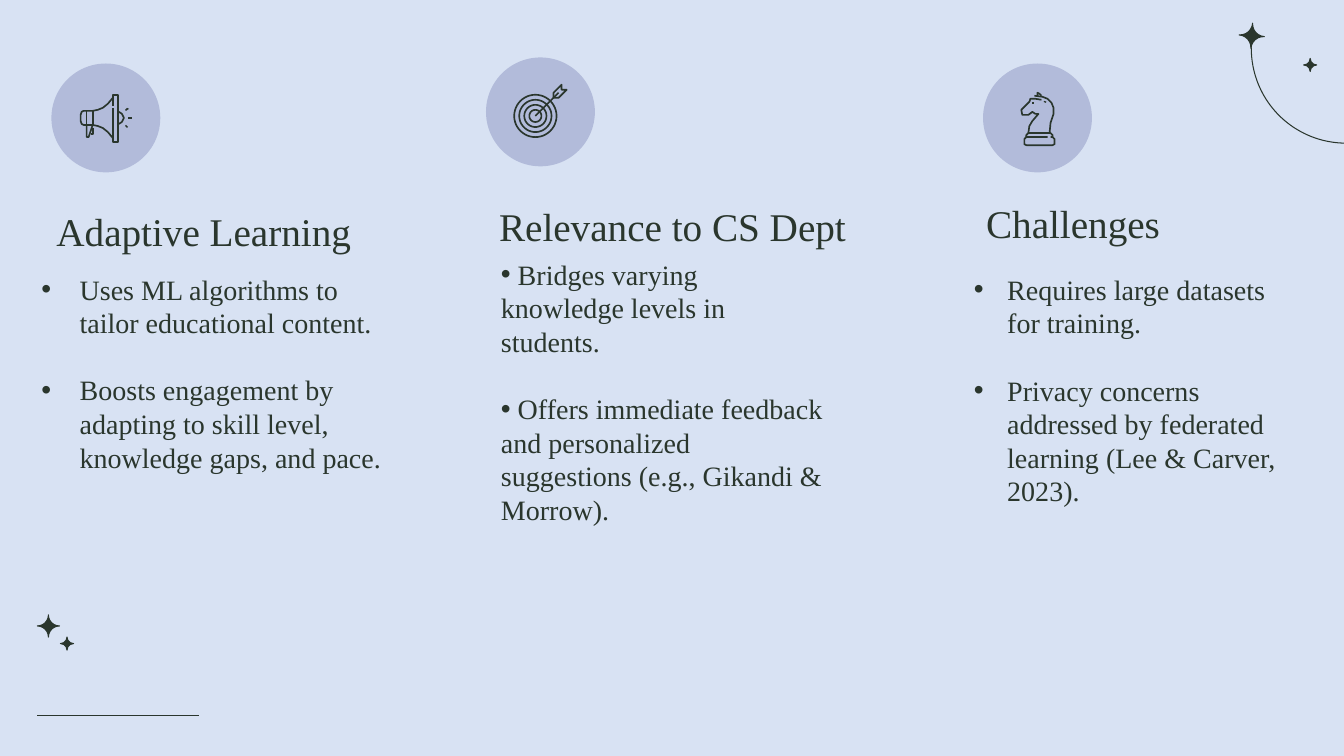
import math
from lxml import etree
from pptx import Presentation
from pptx import util as u
from pptx.dml.color import RGBColor
from pptx.enum import shapes, text
from pptx.oxml.ns import qn

INK = RGBColor(0x2A, 0x36, 0x2D)
DISC = RGBColor(0xB2, 0xBB, 0xDA)
PAGE = RGBColor(0xD8, 0xE2, 0xF3)
FONT = "Times New Roman"
SIDE = 1.08

COLS = [
    dict(head="Adaptive Learning", spot=(0.43, 1.94, 3.69, 0.71), disc=(0.51, 0.63),
         body=(0.28, 2.57, 3.69, 2.4), pad=(0.13, 0.13), hang=(0.38, -0.38), mid=False,
         items=["Uses ML algorithms to tailor educational content.",
                "Boosts engagement by adapting to skill level, knowledge gaps, and pace."]),
    dict(head="Relevance to CS Dept", spot=(4.82, 1.91, 4.13, 0.69), disc=(4.82, 0.57),
         body=(4.87, 2.49, 3.41, 2.79), pad=(0.1, 0.05), hang=(0, 0), mid=True,
         items=[" Bridges varying knowledge levels in students.",
                " Offers immediate feedback and personalized suggestions (e.g., Gikandi & Morrow)."]),
    dict(head="Challenges", spot=(9.65, 1.86, 3.69, 0.71), disc=(9.75, 0.63),
         body=(9.36, 2.57, 3.54, 2.79), pad=(0.13, 0.13), hang=(0.5, -0.33), mid=False,
         items=["Requires large datasets for training.",
                "Privacy concerns addressed by federated learning (Lee & Carver, 2023)."]),
]
STARS = [(12.29, 0.23, 0.25, 3.9), (12.93, 0.58, 0.13, 0),
         (0.37, 6.1, 0.22, 0), (0.6, 6.32, 0.13, 0)]
RINGS = [0.21, 0.16, 0.11, 0.06]
HUB = (5.31, 1.15)
HORN = [
    [(0.93, 1.1), (0.83, 1.1), (0.81, 1.11), (0.8, 1.14), (0.8, 1.2), (0.81, 1.23),
     (0.83, 1.24), (0.93, 1.24)],
    [(0.92, 1.1), (0.97, 1.09), (1.02, 1.07), (1.07, 1.03), (1.12, 0.97)],
    [(0.92, 1.24), (0.97, 1.25), (1.02, 1.27), (1.07, 1.31), (1.12, 1.37)],
    [(0.92, 1.1), (0.92, 1.24)], [(0.86, 1.1), (0.86, 1.24)],
    [(0.86, 1.24), (0.86, 1.36), (0.88, 1.36), (0.92, 1.24)],
    [(0.92, 1.27), (0.92, 1.33), (0.9, 1.33)],
    [(1.12, 1.07), (1.12, 1.41), (1.17, 1.41), (1.17, 0.94), (1.12, 0.94), (1.12, 1.05)],
    [(1.18, 1.11), (1.21, 1.13), (1.23, 1.17), (1.21, 1.21), (1.18, 1.23)],
]
DART = [
    [(5.31, 1.15), (5.54, 0.92)],
    [(5.49, 0.97), (5.49, 0.92), (5.57, 0.84), (5.57, 0.89), (5.62, 0.89),
     (5.54, 0.97), (5.49, 0.97)],
]
KNIGHT = [
    [(10.2, 1.32), (10.21, 1.25), (10.24, 1.2), (10.3, 1.13), (10.27, 1.13), (10.24, 1.11),
     (10.2, 1.14), (10.14, 1.14), (10.13, 1.09), (10.21, 1.01), (10.22, 0.98),
     (10.27, 0.98), (10.33, 0.99)],
    [(10.26, 0.95), (10.34, 0.96), (10.39, 0.98), (10.43, 1.02), (10.45, 1.07),
     (10.45, 1.13), (10.42, 1.22), (10.41, 1.32)],
    [(10.29, 0.95), (10.29, 0.92), (10.31, 0.93), (10.33, 0.95)],
    [(10.18, 1.36), (10.18, 1.34), (10.2, 1.32), (10.42, 1.32), (10.44, 1.34), (10.44, 1.36)],
    [(10.39, 1.36), (10.18, 1.36), (10.16, 1.38), (10.16, 1.43), (10.18, 1.44),
     (10.44, 1.44), (10.46, 1.43), (10.46, 1.38), (10.44, 1.36), (10.42, 1.36)],
]
MARKS = [
    [(1.27, 1.16), (1.31, 1.16), (1.31, 1.18), (1.27, 1.18)],
    [(1.24, 1.09), (1.26, 1.07), (1.28, 1.08), (1.25, 1.1)],
    [(1.24, 1.25), (1.25, 1.24), (1.27, 1.26), (1.26, 1.27)],
    [(10.35, 1.01), (10.36, 1), (10.38, 1.01), (10.37, 1.02)],
    [(10.24, 1.01), (10.26, 1.01), (10.26, 1.03), (10.24, 1.03)],
]

deck = Presentation()
deck.slide_width, deck.slide_height = u.Inches(13.33), u.Inches(7.5)
slide = deck.slides.add_slide(deck.slide_layouts[6])
slide.background.fill.solid()
slide.background.fill.fore_color.rgb = PAGE
KIND = shapes.MSO_SHAPE


def style(shape, fill=None, line=None):
    shape.shadow.inherit = False
    if fill is None:
        shape.fill.background()
    else:
        shape.fill.solid()
        shape.fill.fore_color.rgb = fill
    if line is None:
        shape.line.fill.background()
    else:
        shape.line.color.rgb = INK
        shape.line.width = u.Pt(line)
    return shape


def form(kind, x, y, side, fill=None, line=None):
    return style(slide.shapes.add_shape(kind, *map(u.Inches, (x, y, side, side))), fill, line)


def trace(paths, fill=None, line=None):
    pen = None
    for points in paths:
        first, *rest = [(u.Inches(x), u.Inches(y)) for x, y in points]
        if pen is None:
            pen = slide.shapes.build_freeform(*first)
        else:
            pen.move_to(*first)
        pen.add_line_segments(rest, close=fill is not None)
    style(pen.convert_to_shape(), fill, line)


def ring(rad, steps=48):
    turns = [math.tau * i / steps for i in range(steps + 1)]
    return [(HUB[0] + rad * math.cos(t), HUB[1] + rad * math.sin(t)) for t in turns]


def write(lines, box, size, pad, anchor, hang=None, gap=0):
    frame = slide.shapes.add_textbox(*map(u.Inches, box)).text_frame
    frame.word_wrap = True
    frame.vertical_anchor = anchor
    frame.margin_left = frame.margin_right = u.Inches(pad[0])
    frame.margin_top = frame.margin_bottom = u.Inches(pad[1])
    for i, line in enumerate(lines):
        para = frame.paragraphs[0] if i == 0 else frame.add_paragraph()
        if hang is not None:
            props = para._p.get_or_add_pPr()
            props.set("marL", str(u.Inches(hang[0])))
            props.set("indent", str(u.Inches(hang[1])))
            etree.SubElement(props, qn("a:buFont")).set("typeface", "Arial")
            etree.SubElement(props, qn("a:buChar")).set("char", "•")
        if i:
            para.space_before = u.Pt(gap)
        run = para.add_run()
        run.text = line
        run.font.name, run.font.size = FONT, u.Pt(size)
        run.font.color.rgb = INK


arc = form(KIND.ARC, 12.41, -0.46, 1.88, line=0.75)
arc.adjustments[0], arc.adjustments[1] = 162, 0.4
arc.rotation = 180
for x, y, side, turn in STARS:
    star = form(KIND.PLAQUE, x, y, side, INK, 0.75)
    star.adjustments[0] = 0.5
    star.rotation = turn
rule = slide.shapes.add_connector(shapes.MSO_CONNECTOR.STRAIGHT,
                                  *map(u.Inches, (1.97, 7.1, 0.37, 7.1)))
rule.line.color.rgb = INK
rule.line.width = u.Pt(0.75)
etree.SubElement(rule._element.spPr, qn("a:effectLst"))

for col in COLS:
    write([col["head"]], col["spot"], 28, (0.13, 0.13), text.MSO_ANCHOR.BOTTOM)
    anchor = text.MSO_ANCHOR.MIDDLE if col["mid"] else text.MSO_ANCHOR.TOP
    write(col["items"], col["body"], 20, col["pad"], anchor, col["hang"], 24)
    form(KIND.OVAL, *col["disc"], SIDE, DISC)
for icon in (HORN, DART + [ring(rad) for rad in RINGS], KNIGHT):
    trace(icon, line=1.2)
for mark in MARKS:
    trace([mark], fill=INK)

deck.save("out.pptx")
